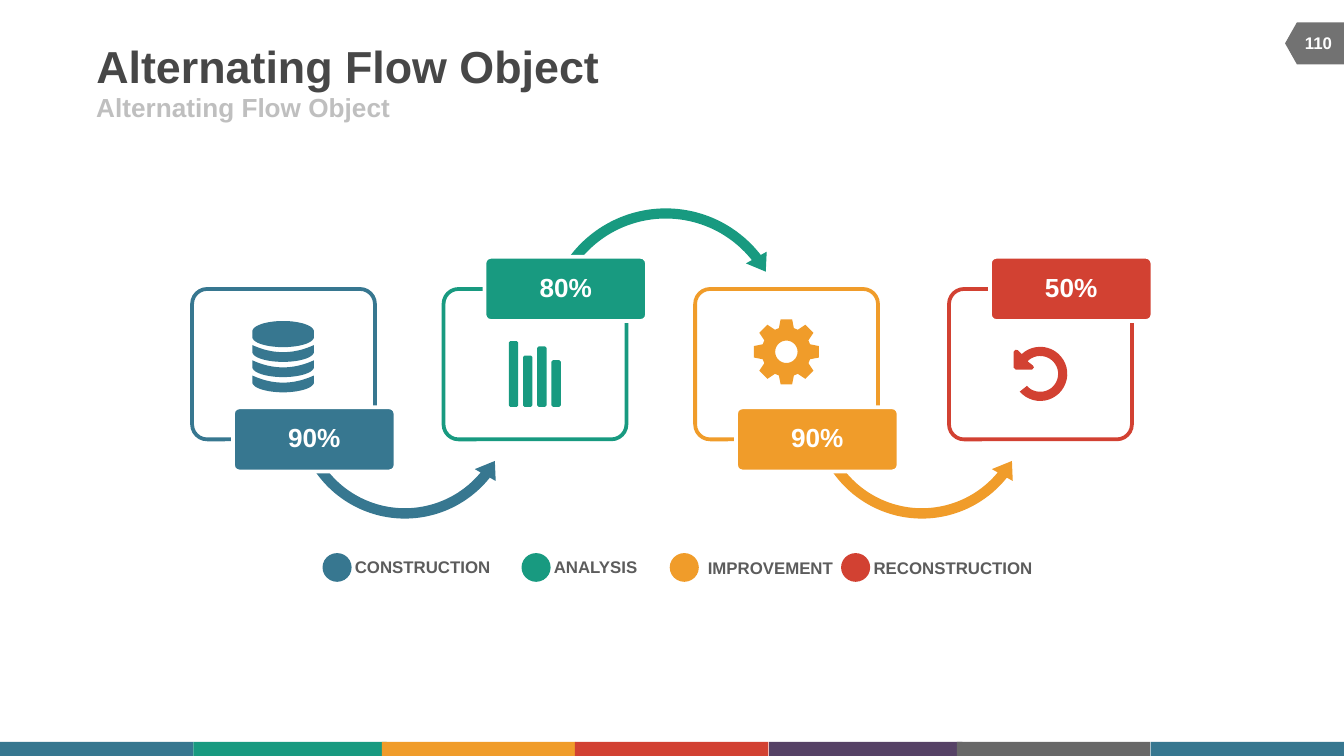
"""Build the alternating flow slide with four cards, arrows and a legend."""
import math

import pptx
import pptx.dml.color
import pptx.enum.shapes
import pptx.enum.text
import pptx.util

Pt = pptx.util.Pt
RGBColor = pptx.dml.color.RGBColor
SHAPE = pptx.enum.shapes.MSO_SHAPE
ALIGN = pptx.enum.text.PP_ALIGN
MIDDLE = pptx.enum.text.MSO_ANCHOR.MIDDLE
TOP = pptx.enum.text.MSO_ANCHOR.TOP

BLUE = RGBColor(0x37, 0x77, 0x90)
GREEN = RGBColor(0x18, 0x9A, 0x80)
ORANGE = RGBColor(0xF0, 0x9C, 0x2A)
RED = RGBColor(0xD2, 0x41, 0x32)
PURPLE = RGBColor(0x56, 0x42, 0x66)
GRAY = RGBColor(0x68, 0x68, 0x68)
BADGE = RGBColor(0x72, 0x72, 0x72)
TITLE = RGBColor(0x47, 0x47, 0x47)
SUBTITLE = RGBColor(0xBF, 0xBF, 0xBF)
LEGEND = RGBColor(0x5C, 0x5C, 0x5C)
WHITE = RGBColor(0xFF, 0xFF, 0xFF)


class Deck:
    def __init__(self, slide, font="Arial"):
        self.slide = slide
        self.font = font

    def paint(self, sp, fill=None, line=None):
        sp.shadow.inherit = False
        if fill is None:
            sp.fill.background()
        else:
            sp.fill.solid()
            sp.fill.fore_color.rgb = fill
        if line is None:
            sp.line.fill.background()
        else:
            sp.line.color.rgb = line
            sp.line.width = Pt(2)
        return sp

    def shape(self, kind, box, fill=None, line=None, adjustments=()):
        sp = self.slide.shapes.add_shape(kind, *map(Pt, box))
        for i, value in enumerate(adjustments):
            sp.adjustments[i] = value
        return self.paint(sp, fill, line)

    def label(self, sp, text, size, color, align=ALIGN.LEFT, anchor=MIDDLE, wrap=True):
        tf = sp.text_frame
        tf.margin_left = tf.margin_right = tf.margin_top = tf.margin_bottom = 0
        tf.word_wrap = wrap
        tf.vertical_anchor = anchor
        p = tf.paragraphs[0]
        p.text = text
        p.alignment = align
        r = p.runs[0]
        r.font.name = self.font
        r.font.size = Pt(size)
        r.font.bold = True
        r.font.color.rgb = color
        return p

    def text(self, box, *args, **kwargs):
        sp = self.slide.shapes.add_textbox(*map(Pt, box))
        return self.label(sp, *args, **kwargs)

    def card(self, x, color, percent, percent_y):
        self.shape(SHAPE.ROUNDED_RECTANGLE, (x, 154.8, 98, 80.6), line=color, adjustments=[0.1])
        sp = self.shape(SHAPE.ROUNDED_RECTANGLE, (x + 21.9, percent_y, 87.1, 34.4),
                        color, WHITE, [0.1])
        self.label(sp, percent, 14, WHITE, ALIGN.CENTER).line_spacing = 0.9

    def icon(self, contours, color):
        start, *rest = contours[0]
        builder = self.slide.shapes.build_freeform(Pt(start[0]), Pt(start[1]))
        builder.add_line_segments([(Pt(x), Pt(y)) for x, y in rest])
        for start, *rest in contours[1:]:
            builder.move_to(Pt(start[0]), Pt(start[1]))
            builder.add_line_segments([(Pt(x), Pt(y)) for x, y in rest])
        return self.paint(builder.convert_to_shape(), color)


def arc(cx, cy, rx, ry, start, end, steps=32):
    angles = [math.radians(start + (end - start) * i / steps) for i in range(steps + 1)]
    return [(cx + rx * math.cos(a), cy + ry * math.sin(a)) for a in angles]


def database():
    cx, rx = 151.7, 16.5
    discs = [arc(cx, 177.6, rx, 5.6, 180, 360) + arc(cx, 180.6, rx, 5.4, 0, 180)]
    for i in range(3):
        y = 184.9 + 8.15 * i
        rim = [(cx + rx * u / 10, y + 3.8 * (1 - (u / 10) ** 2)) for u in range(-10, 11)]
        discs.append(rim + arc(cx, y + 3.6, rx, 5.4, 0, 180))
    return discs


def bars():
    w, bottom, c = 5, 218, 0.8
    contours = []
    for i, top in enumerate((182.7, 190.5, 185.6, 193)):
        x = 272.6 + 7.6 * i
        contours.append([(x + c, top), (x + w - c, top), (x + w, top + c), (x + w, bottom - c),
                         (x + w - c, bottom), (x + c, bottom), (x, bottom - c), (x, top + c)])
    return contours


def gear():
    cx, cy = 421.3, 188.5
    rim = []
    for tooth in range(0, 360, 45):
        for offset, radius in ((-17.5, 13.3), (-10, 17.7), (10, 17.7), (17.5, 13.3)):
            a = math.radians(tooth + offset)
            rim.append((cx + radius * math.cos(a), cy + radius * math.sin(a)))
    return [rim, arc(cx, cy, 6, 6, 360, 0)]


def undo():
    cx, cy = 557.3, 200.3
    head = [(545.3, 187.6), (544, 187.4), (543.1, 188.4), (543.1, 197),
            (544.2, 198), (553, 198), (553.9, 196.8), (553.5, 195.9)]
    return [arc(cx, cy, 14.5, 14.5, 139, -133) + head + arc(cx, cy, 9.6, 9.6, -135, 138)]


def main():
    prs = pptx.Presentation()
    prs.slide_width, prs.slide_height = Pt(720), Pt(405)
    s = Deck(prs.slides.add_slide(prs.slide_layouts[6]))

    stripes = ((0, BLUE), (103.6, GREEN), (204.6, ORANGE), (308, RED),
               (412, PURPLE), (512.6, GRAY), (616.4, BLUE))
    for x, color in stripes:
        s.shape(SHAPE.RECTANGLE, (x, 397.5, 103.6, 7.5), color)
    s.shape(SHAPE.FLOWCHART_OFFPAGE_CONNECTOR, (693, 7.4, 22.5, 31.7), BADGE).rotation = 90

    s.text((51.6, 21, 444, 28), "Alternating Flow Object", 24, TITLE)
    s.text((51.6, 49.2, 324, 16), "Alternating Flow Object", 14, SUBTITLE)
    s.text((691.2, 12.4, 30.2, 21.6), "110", 9, WHITE, ALIGN.CENTER)

    legend = (("CONSTRUCTION", BLUE, 172.8, 190.1, 298, 73.4),
              ("ANALYSIS", GREEN, 279.4, 296.7, 298, 46.1),
              ("IMPROVEMENT", ORANGE, 358.8, 379.2, 299, 67.7),
              ("RECONSTRUCTION", RED, 450.6, 468, 299, 85.7))
    for text, color, dot_x, text_x, text_y, width in legend:
        s.text((text_x, text_y, width, 10.8), text, 9, LEGEND, anchor=TOP, wrap=False)
        s.shape(SHAPE.OVAL, (dot_x, 296.3, 15.6, 15.4), color)

    for x, color in ((432, ORANGE), (155, BLUE)):
        s.shape(SHAPE.LEFT_CIRCULAR_ARROW, (x, 157.7, 123.8, 123.8), color,
                adjustments=[0.045, 5.658, 23.414, 90.245, 0.052])
    s.shape(SHAPE.CIRCULAR_ARROW, (288.7, 108, 136, 136), GREEN,
            adjustments=[0.04, 5.09, 193.155, 125.755, 0.047])

    upper, lower = 137.6, 218.2
    cards = ((102.9, BLUE, "90%", lower, database), (237.6, GREEN, "80%", upper, bars),
             (372.4, ORANGE, "90%", lower, gear), (508.4, RED, "50%", upper, undo))
    for x, color, percent, percent_y, _ in cards:
        s.card(x, color, percent, percent_y)
    for _, color, _, _, outline in cards:
        s.icon(outline(), color)

    prs.save("out.pptx")


if __name__ == "__main__":
    main()
